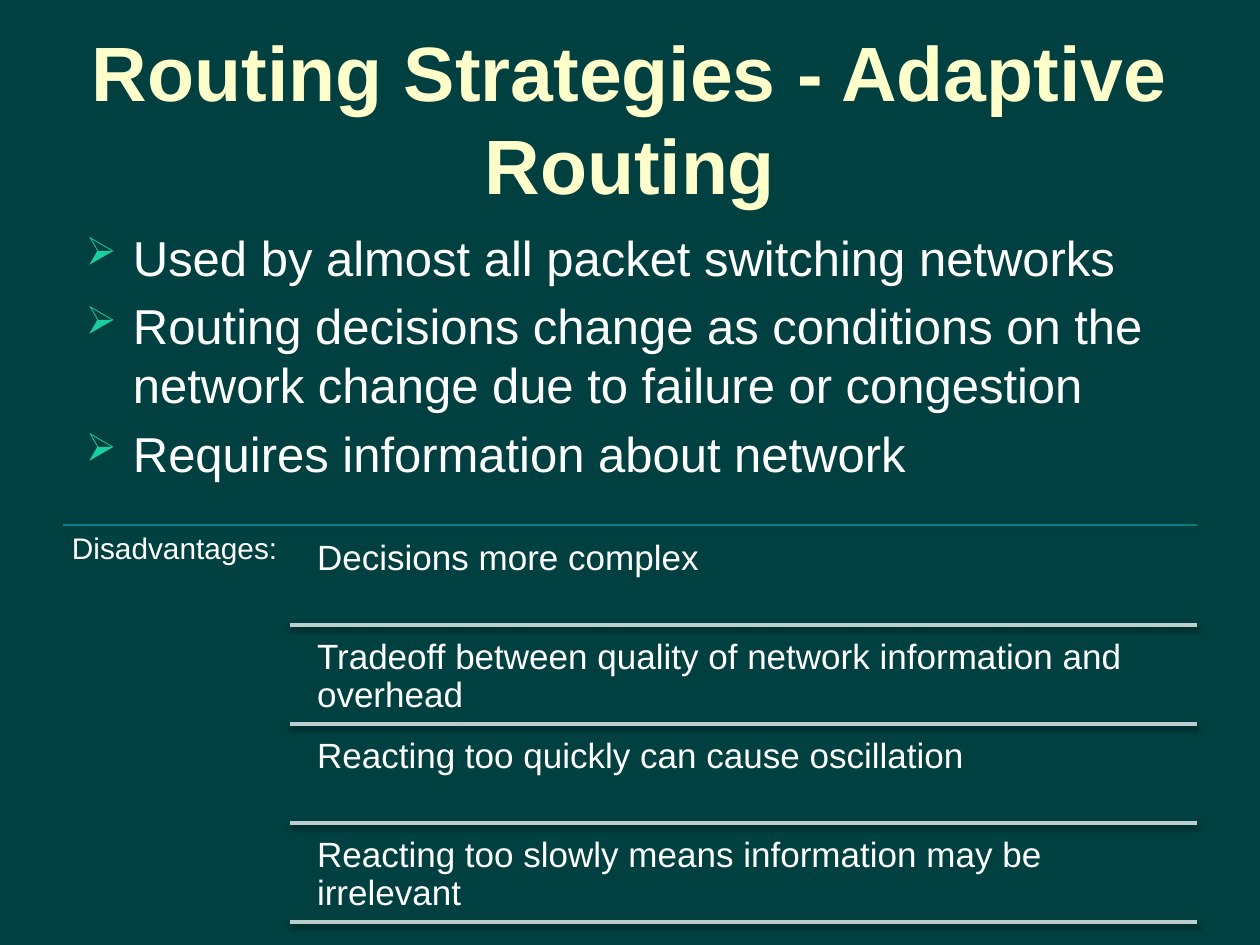
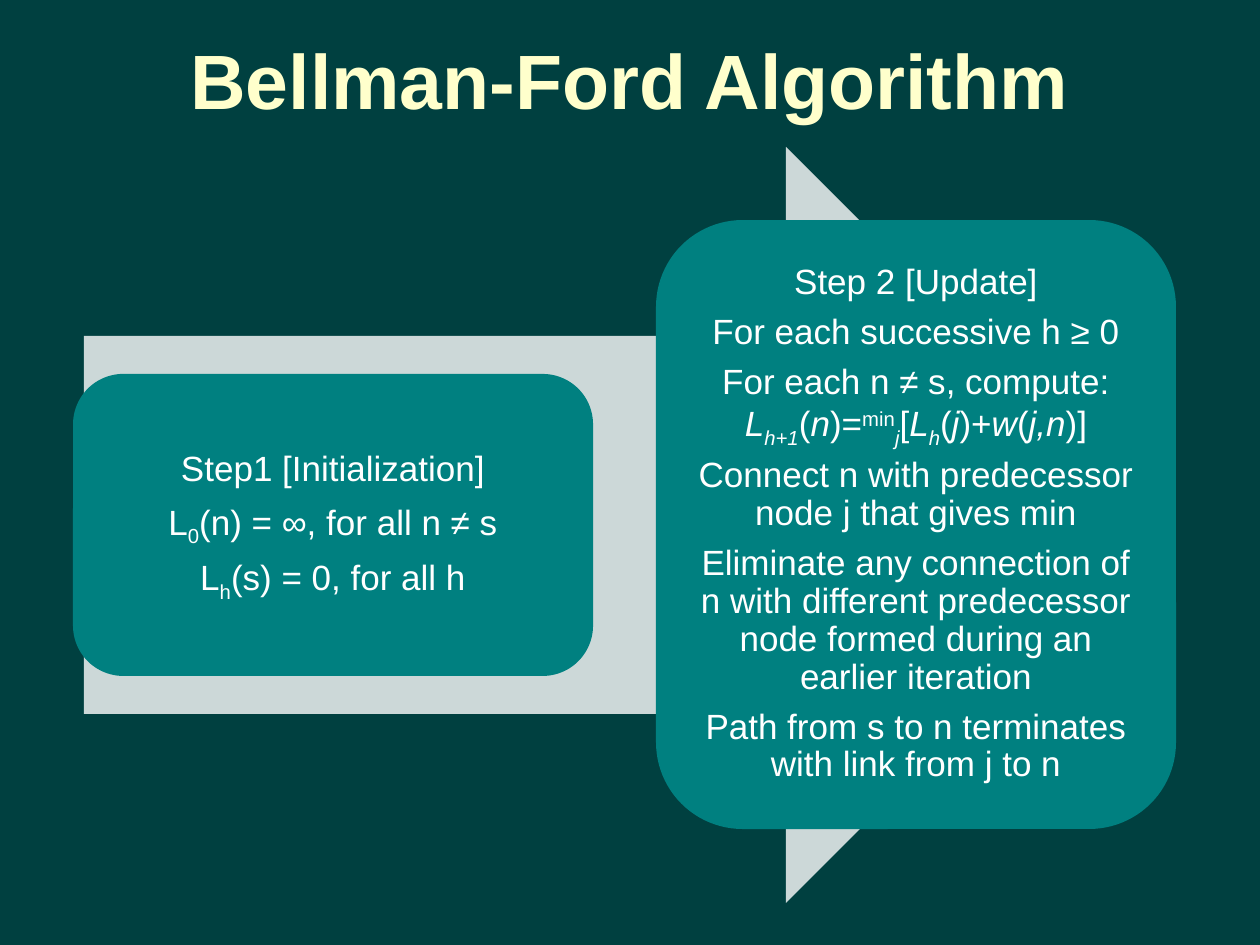
from lxml.etree import SubElement
from pptx import Presentation
from pptx.dml.color import RGBColor
from pptx.enum.shapes import MSO_CONNECTOR, MSO_SHAPE
from pptx.enum.text import MSO_ANCHOR, PP_ALIGN
from pptx.oxml.ns import qn
from pptx.util import Pt

EMU_PER_PX = 914400 / 126
FONT = "Arial"
BACKGROUND = "004040"
TITLE = "FFFFCC"
TEXT = "FFFFFF"
TEAL = "008080"
RULE = "BDCDCD"
ARROW = "CCD8D8"
BULLET = "1ACE9F"
BASELINES = {"sub": "-25000", "sup": "30000"}


def px(*lengths):
    """Turn pixel lengths into a list of EMU."""
    return [round(length * EMU_PER_PX) for length in lengths]


def color(value):
    """Turn a hex string into a colour."""
    return RGBColor.from_string(value)


class Deck:
    """Holds the shared style and the current slide."""

    def __init__(self):
        """Open an empty presentation of 10 by 7.5 inches."""
        self.presentation = Presentation()
        self.presentation.slide_width, self.presentation.slide_height = px(1260, 945)
        self.slide = None

    def add_slide(self, title, top):
        """Start a slide with the shared background and title."""
        self.slide = self.presentation.slides.add_slide(self.presentation.slide_layouts[6])
        fill = self.slide.background.fill
        fill.solid()
        fill.fore_color.rgb = color(BACKGROUND)
        self.text(63, top, 1134, 158, [title], 44, TITLE, bold=True,
                  align=PP_ALIGN.CENTER, anchor=MSO_ANCHOR.MIDDLE)

    def fill_text(self, shape, paragraphs, size, ink=TEXT, bold=False, align=PP_ALIGN.LEFT,
                  anchor=MSO_ANCHOR.TOP, margins=(13, 6), spacing=1.0, before=0, after=0,
                  bullet=None):
        """Fill a shape with paragraphs, each a string or a list of (text, styles)."""
        frame = shape.text_frame
        frame.word_wrap = True
        frame.vertical_anchor = anchor
        frame.margin_left = frame.margin_right = px(margins[0])[0]
        frame.margin_top = frame.margin_bottom = px(margins[1])[0]
        for index, content in enumerate(paragraphs):
            paragraph = frame.add_paragraph() if index else frame.paragraphs[0]
            paragraph.alignment = align
            paragraph.line_spacing = spacing
            paragraph.space_before = Pt(before)
            paragraph.space_after = Pt(after)
            if bullet:
                self.bullet(paragraph, bullet)
            font = paragraph.font
            font.name, font.size, font.bold = FONT, Pt(size), bold
            font.color.rgb = color(ink)
            runs = [(content, "")] if isinstance(content, str) else content
            for words, styles in runs:
                self.run(paragraph, words, styles.split())

    def run(self, paragraph, words, styles):
        """Add a run that may be italic, subscript or superscript."""
        run = paragraph.add_run()
        run.text = words
        if "italic" in styles:
            run.font.italic = True
        for style in BASELINES.keys() & set(styles):
            run._r.get_or_add_rPr().set("baseline", BASELINES[style])

    def bullet(self, paragraph, character):
        """Give a paragraph a hanging coloured bullet."""
        properties = paragraph._p.get_or_add_pPr()
        indent = px(47)[0]
        properties.set("marL", str(indent))
        properties.set("indent", str(-indent))
        tint = SubElement(properties, qn("a:buClr"))
        SubElement(tint, qn("a:srgbClr"), val=BULLET)
        SubElement(properties, qn("a:buSzPct"), val="80000")
        SubElement(properties, qn("a:buChar"), char=character)

    def text(self, left, top, width, height, paragraphs, size, ink=TEXT, **style):
        """Add a text box."""
        box = self.slide.shapes.add_textbox(*px(left, top, width, height))
        self.fill_text(box, paragraphs, size, ink, **style)

    def shape(self, kind, left, top, width, height, fill):
        """Add a flat preset shape without an outline."""
        shape = self.slide.shapes.add_shape(kind, *px(left, top, width, height))
        shape.shadow.inherit = False
        shape.fill.solid()
        shape.fill.fore_color.rgb = color(fill)
        shape.line.fill.background()
        return shape

    def step(self, left, top, width, height, paragraphs):
        """Add a rounded box that explains one step."""
        box = self.shape(MSO_SHAPE.ROUNDED_RECTANGLE, left, top, width, height, TEAL)
        self.fill_text(box, paragraphs, 20, align=PP_ALIGN.CENTER, anchor=MSO_ANCHOR.MIDDLE,
                       margins=(10, 10), spacing=0.9, after=7)

    def rule(self, left, right, y, ink, weight, opacity, distance):
        """Add a horizontal line with a soft shadow below it."""
        line = self.slide.shapes.add_connector(MSO_CONNECTOR.STRAIGHT, *px(left, y, right, y))
        line.line.color.rgb = color(ink)
        line.line.width = Pt(weight)
        effects = SubElement(line._element.spPr, qn("a:effectLst"))
        shadow = SubElement(effects, qn("a:outerShdw"), blurRad=str(int(Pt(3.1))),
                            dist=str(int(Pt(distance))), dir="5400000", rotWithShape="0")
        black = SubElement(shadow, qn("a:srgbClr"), val="000000")
        SubElement(black, qn("a:alpha"), val=str(opacity * 1000))


def adaptive_routing(deck):
    """Build the slide on adaptive routing."""
    deck.add_slide("Routing Strategies - Adaptive Routing", 38)
    deck.text(73, 221, 1134, 294, [
        "Used by almost all packet switching networks",
        "Routing decisions change as conditions on the network change due to failure "
        "or congestion",
        "Requires information about network",
    ], 28, before=5.6, bullet="➢")
    deck.rule(63, 1197, 525, TEAL, 0.75, 35, 1.8)
    deck.text(63, 525, 227, 402, ["Disadvantages:"], 17, margins=(9, 9), spacing=0.9, after=6)
    disadvantages = [
        "Decisions more complex",
        "Tradeoff between quality of network information and overhead",
        "Reacting too quickly can cause oscillation",
        "Reacting too slowly means information may be irrelevant",
    ]
    for row, disadvantage in enumerate(disadvantages):
        top = 530 + 99 * row
        deck.text(307, top, 890, 95, [disadvantage], 20, margins=(10, 10),
                  spacing=0.9, after=7)
        deck.rule(290, 1197, top + 95, RULE, 2, 38, 1.6)


def bellman_ford(deck):
    """Build the slide on the Bellman-Ford algorithm."""
    deck.add_slide("Bellman-Ford Algorithm", 0)
    deck.shape(MSO_SHAPE.RIGHT_ARROW, 84, 147, 1080, 756, ARROW)
    deck.step(73, 374, 520, 302, [
        "Step1 [Initialization]",
        [("L", ""), ("0", "sub"), ("(n) = ∞, for all n ≠ s", "")],
        [("L", ""), ("h", "sub"), ("(s) = 0, for all h", "")],
    ])
    deck.step(656, 220, 520, 609, [
        "Step 2 [Update]",
        "For each successive h ≥ 0",
        [("For each n ≠ s, compute: ", ""), ("L", "italic"), ("h+1", "italic sub"),
         ("(", ""), ("n", "italic"), (")=", ""), ("min", "sup"), ("j", "italic sub"),
         ("[", ""), ("L", "italic"), ("h", "italic sub"), ("(", ""), ("j", "italic"),
         (")+", ""), ("w", "italic"), ("(", ""), ("j,n", "italic"), (")]", "")],
        "Connect n with predecessor node j that gives min",
        "Eliminate any connection of n with different predecessor node formed during "
        "an earlier iteration",
        "Path from s to n terminates with link from j to n",
    ])


def main():
    """Build both slides and save them."""
    deck = Deck()
    adaptive_routing(deck)
    bellman_ford(deck)
    deck.presentation.save("out.pptx")


if __name__ == "__main__":
    main()
